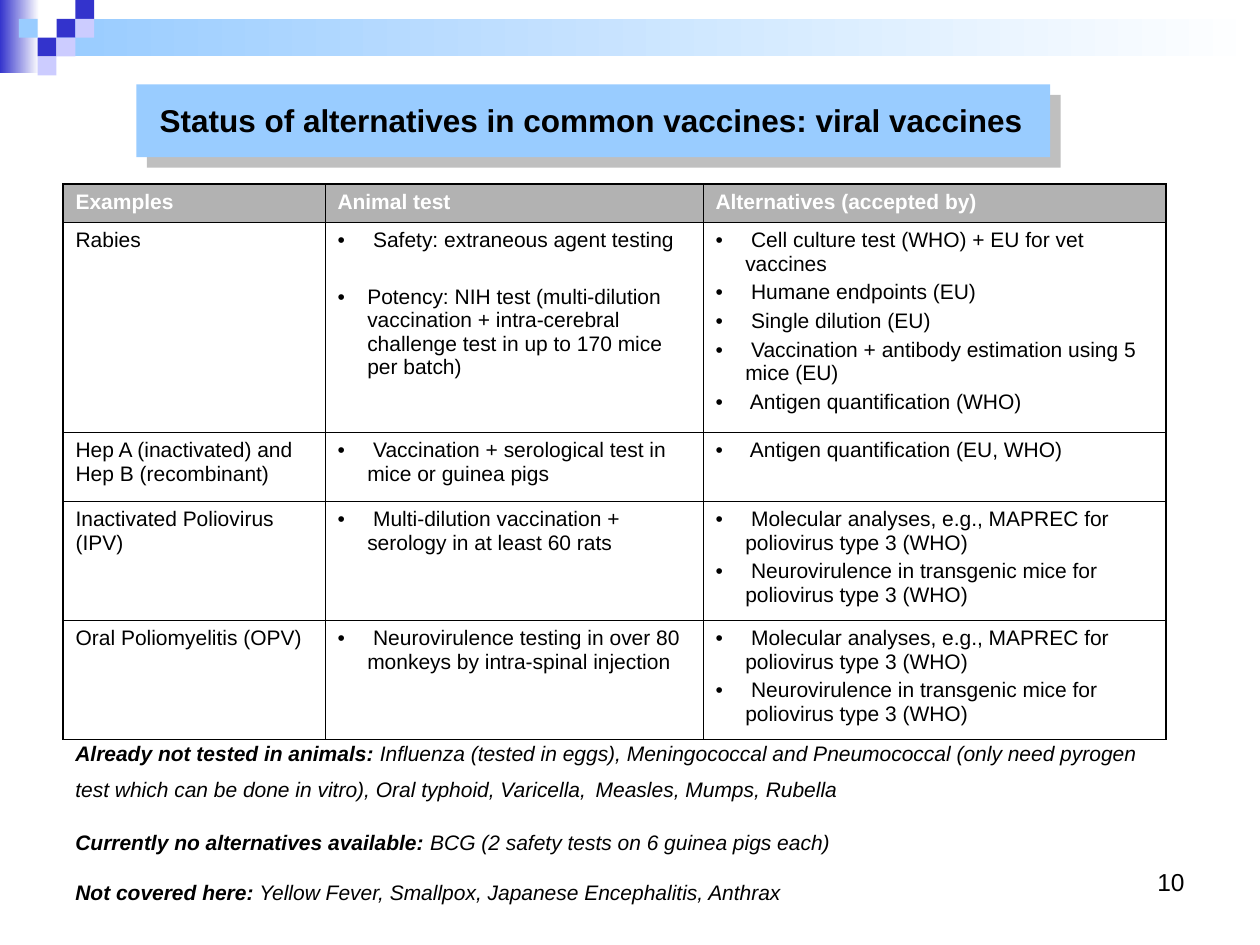
"""Build the slide on alternatives to animal tests for viral vaccines."""
from dataclasses import dataclass
from typing import Any, NamedTuple

import lxml.etree
import pptx
import pptx.dml.color
import pptx.enum.shapes
import pptx.enum.text
import pptx.oxml.ns
import pptx.util

Cm = pptx.util.Cm
Pt = pptx.util.Pt
RGBColor = pptx.dml.color.RGBColor
qn = pptx.oxml.ns.qn

BLACK = RGBColor(0x00, 0x00, 0x00)
WHITE = RGBColor(0xFF, 0xFF, 0xFF)
INDIGO = RGBColor(0x33, 0x33, 0xCC)
LAVENDER = RGBColor(0xCC, 0xCC, 0xFF)
SKY = RGBColor(0x99, 0xCC, 0xFF)
SHADOW_GREY = RGBColor(0x80, 0x80, 0x80)
HEADER_GREY = RGBColor(0xB2, 0xB2, 0xB2)

TITLE_FORMAT = {"name": "Arial", "size": Pt(18), "bold": True}
HEADER_FORMAT = {"name": "Arial", "size": Pt(12), "bold": True}
BODY_FORMAT = {"name": "Arial", "size": Pt(12), "bold": False}
LEAD_FORMAT = {**HEADER_FORMAT, "italic": True}
DETAIL_FORMAT = {**BODY_FORMAT, "italic": True}
GAP_FORMAT = {**DETAIL_FORMAT, "size": Pt(18)}
NUMBER_FORMAT = {"name": "Arial", "size": Pt(14)}

SQUARE = 0.38
THIN, THICK = Pt(0.45), Pt(1.08)
COLUMN_WIDTHS = (5.28, 7.62, 9.33)
ROW_HEIGHTS = (0.77, 4.23, 1.39, 2.4, 2.4)
HEADINGS = ("Examples", "Animal test", "Alternatives (accepted by)")


class Box(NamedTuple):
    """Position and size in centimetres."""
    left: float
    top: float
    width: float
    height: float

    def lengths(self) -> list[Any]:
        """Give the four values as lengths."""
        return [Cm(value) for value in self]


class Square(NamedTuple):
    """A small square of the corner mosaic."""
    column: int
    row: int
    color: RGBColor


class Note(NamedTuple):
    """A remark under the table."""
    lead: str
    details: list[tuple[str, dict[str, Any]]]


@dataclass
class Vaccine:
    """A table row: tests and alternatives for one vaccine."""
    name: str
    tests: list[str]
    alternatives: list[str]
    test_gap: float = 3


MOSAIC = [
    Square(3, 1, INDIGO), Square(4, 0, INDIGO), Square(4, 1, LAVENDER),
    Square(2, 2, INDIGO), Square(1, 1, SKY), Square(3, 2, LAVENDER),
    Square(2, 3, LAVENDER),
]
POLIO_ALTERNATIVES = [
    " Molecular analyses, e.g., MAPREC for poliovirus type 3 (WHO)",
    " Neurovirulence in transgenic mice for poliovirus type 3 (WHO)",
]
VACCINES = [
    Vaccine("Rabies",
            [" Safety: extraneous agent testing",
             "Potency: NIH test (multi-dilution vaccination + intra-cerebral "
             "challenge test in up to 170 mice per batch)"],
            [" Cell culture test (WHO) + EU for vet vaccines",
             " Humane endpoints (EU)",
             " Single dilution (EU)",
             " Vaccination + antibody estimation using 5 mice (EU)",
             " Antigen quantification (WHO)"],
            test_gap=19),
    Vaccine("Hep A (inactivated) and Hep B (recombinant)",
            [" Vaccination + serological test in mice or guinea pigs"],
            [" Antigen quantification (EU, WHO)"]),
    Vaccine("Inactivated Poliovirus (IPV)",
            [" Multi-dilution vaccination + serology in at least 60 rats"],
            POLIO_ALTERNATIVES),
    Vaccine("Oral Poliomyelitis (OPV)",
            [" Neurovirulence testing in over 80 monkeys by intra-spinal injection"],
            POLIO_ALTERNATIVES),
]
NOTES = [
    Note("Already not tested in animals:",
         [(" Influenza (tested in eggs), Meningococcal and Pneumococcal (only need "
           "pyrogen test which can be done in vitro), Oral typhoid, Varicella,",
           DETAIL_FORMAT),
          (" ", GAP_FORMAT), ("Measles, Mumps, Rubella", DETAIL_FORMAT)]),
    Note("Currently no alternatives available:",
         [(" BCG (2 safety tests on 6 guinea pigs each)", DETAIL_FORMAT)]),
    Note("Not covered here:",
         [(" Yellow Fever, Smallpox, Japanese Encephalitis, Anthrax", DETAIL_FORMAT)]),
]


def add_child(parent: Any, tag: str, **attributes: Any) -> Any:
    """Append an XML element with its attributes."""
    values = {key: str(value) for key, value in attributes.items()}
    return lxml.etree.SubElement(parent, qn(tag), values)


def add_run(paragraph: Any, text: str, style: dict[str, Any],
            color: RGBColor = BLACK) -> None:
    """Add a formatted run to a paragraph."""
    run = paragraph.add_run()
    run.text = text
    for attribute, value in style.items():
        setattr(run.font, attribute, value)
    run.font.color.rgb = color


def next_paragraph(frame: Any, index: int, gap: float) -> Any:
    """Give the first paragraph, or a new one with space before it."""
    if index == 0:
        return frame.paragraphs[0]
    paragraph = frame.add_paragraph()
    paragraph.space_before = Pt(gap)
    return paragraph


def add_rectangle(slide: Any, box: Box, color: RGBColor, fades: bool = False) -> Any:
    """Draw a borderless rectangle, plain or fading to white on the right."""
    rectangle = slide.shapes.add_shape(
        pptx.enum.shapes.MSO_SHAPE.RECTANGLE, *box.lengths())
    rectangle.shadow.inherit = False
    rectangle.line.fill.background()
    if fades:
        rectangle.fill.gradient()
        rectangle.fill.gradient_angle = 0
        for stop, shade in zip(rectangle.fill.gradient_stops, (color, WHITE)):
            stop.color.rgb = shade
    else:
        rectangle.fill.solid()
        rectangle.fill.fore_color.rgb = color
    return rectangle


def add_text_frame(slide: Any, box: Box) -> Any:
    """Add a wrapping text box and give its frame."""
    frame = slide.shapes.add_textbox(*box.lengths()).text_frame
    frame.word_wrap = True
    return frame


def cast_shadow(shape: Any) -> None:
    """Cast a hard grey shadow to the lower right."""
    effects = shape.element.spPr.find(qn("a:effectLst"))
    shadow = add_child(effects, "a:outerShdw", dist=Pt(8.5), dir=2700000,
                       algn="ctr", rotWithShape=0)
    color = add_child(shadow, "a:srgbClr", val=SHADOW_GREY)
    add_child(color, "a:alpha", val=50000)


def write_bullets(cell: Any, items: list[str], gap: float = 3) -> None:
    """Write a bulleted list into a cell."""
    for index, item in enumerate(items):
        paragraph = next_paragraph(cell.text_frame, index, gap)
        properties = paragraph._p.get_or_add_pPr()
        properties.set("marL", str(Cm(0.6)))
        properties.set("indent", str(Cm(-0.6)))
        add_child(add_child(properties, "a:buClr"), "a:srgbClr", val=BLACK)
        add_child(properties, "a:buFont", typeface="Arial")
        add_child(properties, "a:buChar", char="•")
        add_run(paragraph, item, BODY_FORMAT)


def add_borders(cell: Any, row: int, column: int) -> None:
    """Rule a cell, thicker along the outside of the table."""
    outer = {"a:lnL": column == 0, "a:lnR": column == len(COLUMN_WIDTHS) - 1,
             "a:lnT": row == 0, "a:lnB": row == len(ROW_HEIGHTS) - 1}
    for tag, is_outer in outer.items():
        line = add_child(cell._tc.get_or_add_tcPr(), tag, w=THICK if is_outer else THIN)
        add_child(add_child(line, "a:solidFill"), "a:srgbClr", val=BLACK)


def add_vaccine_table(slide: Any) -> None:
    """Draw the table of vaccines, tests and alternatives."""
    box = Box(1.27, 3.71, sum(COLUMN_WIDTHS), sum(ROW_HEIGHTS))
    table = slide.shapes.add_table(
        len(ROW_HEIGHTS), len(COLUMN_WIDTHS), *box.lengths()).table
    table.first_row = table.horz_banding = False
    for column, width in zip(table.columns, COLUMN_WIDTHS):
        column.width = Cm(width)
    for row, height in zip(table.rows, ROW_HEIGHTS):
        row.height = Cm(height)
    for row in range(len(ROW_HEIGHTS)):
        for column, heading in enumerate(HEADINGS):
            cell = table.cell(row, column)
            add_borders(cell, row, column)
            if row:
                cell.fill.background()
            else:
                cell.fill.solid()
                cell.fill.fore_color.rgb = HEADER_GREY
                add_run(cell.text_frame.paragraphs[0], heading, HEADER_FORMAT, WHITE)
    for row, vaccine in enumerate(VACCINES, 1):
        add_run(table.cell(row, 0).text_frame.paragraphs[0], vaccine.name, BODY_FORMAT)
        write_bullets(table.cell(row, 1), vaccine.tests, vaccine.test_gap)
        write_bullets(table.cell(row, 2), vaccine.alternatives)


def add_notes(slide: Any) -> None:
    """Write the remarks under the table."""
    frame = add_text_frame(slide, Box(1.27, 14.81, 22.43, 4.06))
    for index, note in enumerate(NOTES):
        paragraph = next_paragraph(frame, index, 14.5)
        add_run(paragraph, note.lead, LEAD_FORMAT)
        for text, style in note.details:
            add_run(paragraph, text, style)


def main() -> None:
    """Build and save the slide."""
    deck = pptx.Presentation()
    deck.slide_width, deck.slide_height = Cm(25.4), Cm(19.05)
    slide = deck.slides.add_slide(deck.slide_layouts[6])
    add_rectangle(slide, Box(0, 0, 0.79, 1.47), INDIGO, fades=True)
    add_rectangle(slide, Box(1.14, 0.38, 24.26, 0.76), SKY, fades=True)
    for square in MOSAIC:
        add_rectangle(slide, Box(square.column * SQUARE, square.row * SQUARE,
                                 SQUARE, SQUARE), square.color)
    cast_shadow(add_rectangle(slide, Box(2.75, 1.7, 18.42, 1.47), SKY))
    title = add_text_frame(slide, Box(2.97, 1.91, 17.98, 1.02))
    add_run(title.paragraphs[0],
            "Status of alternatives in common vaccines: viral vaccines", TITLE_FORMAT)
    add_vaccine_table(slide)
    add_notes(slide)
    number = add_text_frame(slide, Box(18.21, 17.35, 5.92, 1.32)).paragraphs[0]
    number.alignment = pptx.enum.text.PP_ALIGN.RIGHT
    add_run(number, "10", NUMBER_FORMAT)
    deck.save("out.pptx")


if __name__ == "__main__":
    main()
